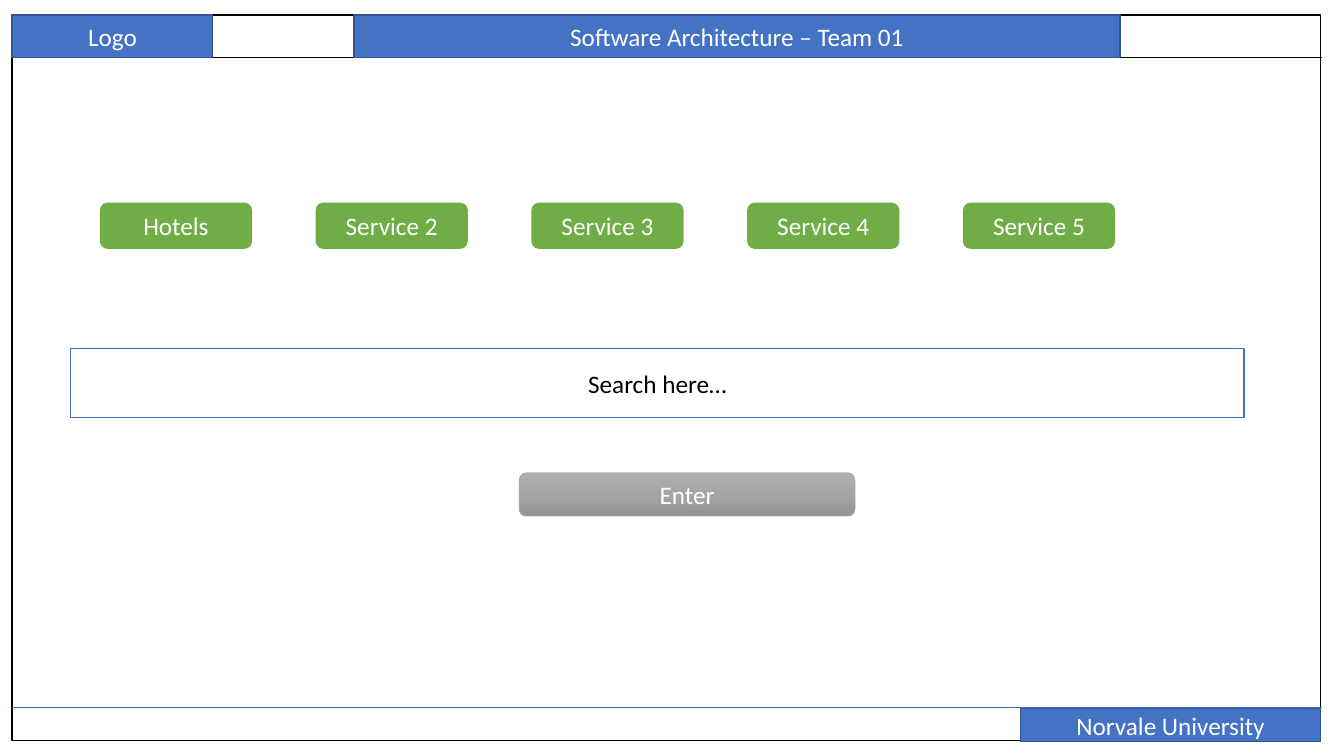
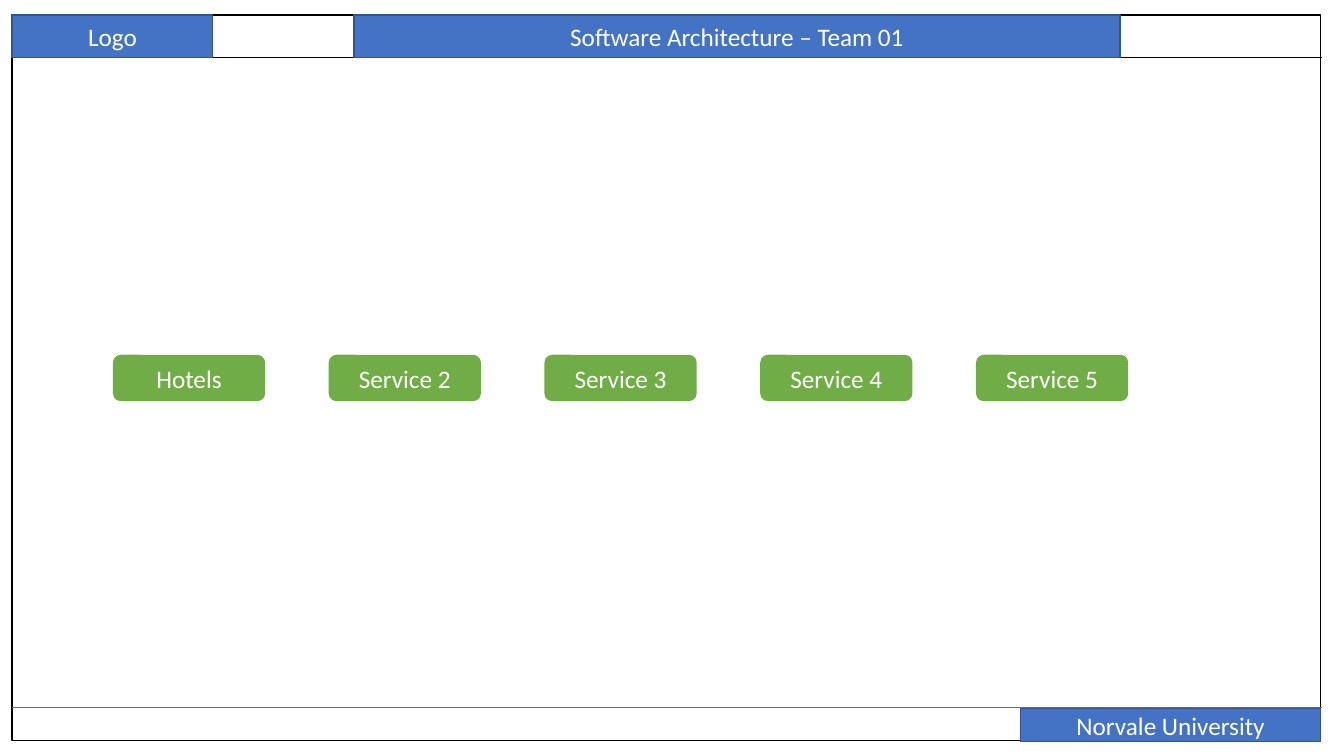
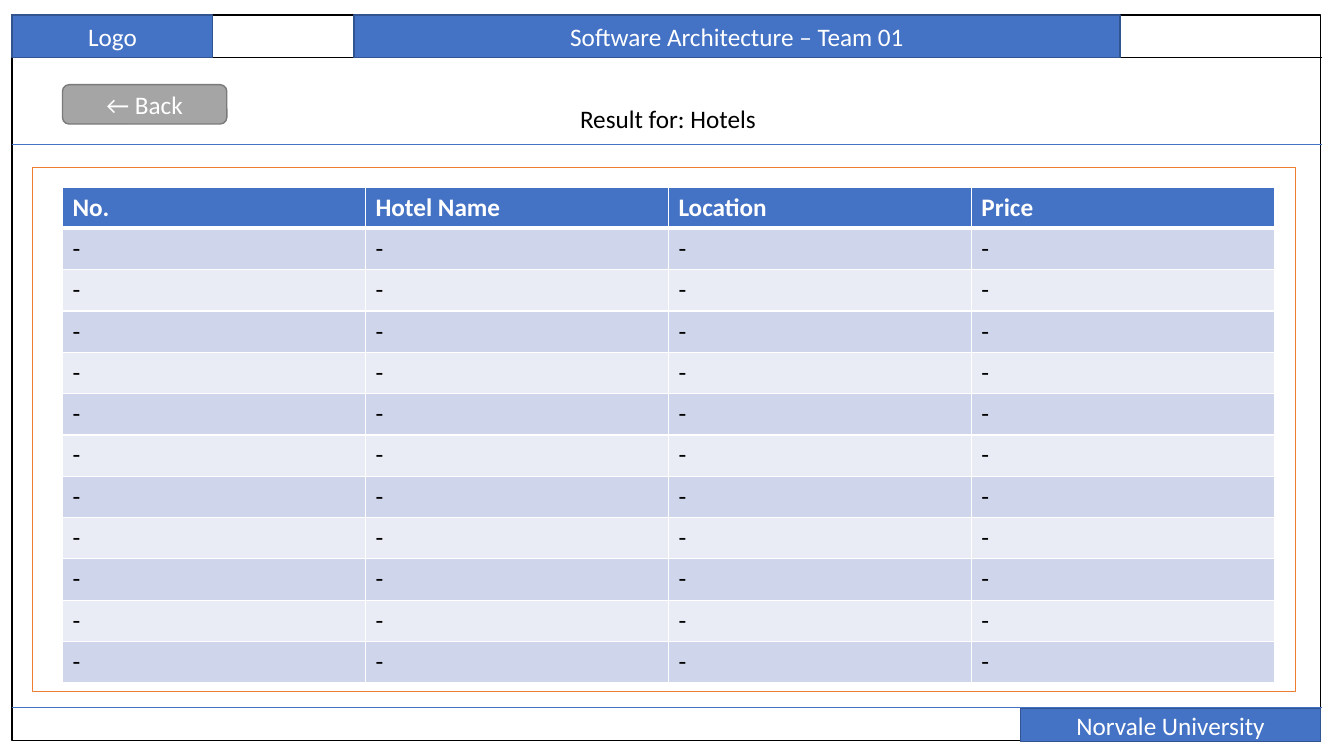
"""Build three wireframe pages of a hotel search site."""
import copy
from dataclasses import dataclass

import pptx
import pptx.dml.color
import pptx.enum.shapes
import pptx.enum.text
import pptx.oxml.ns
import pptx.oxml.xmlchemy
import pptx.util

Inches = pptx.util.Inches
Pt = pptx.util.Pt
OxmlElement = pptx.oxml.xmlchemy.OxmlElement
RECTANGLE = pptx.enum.shapes.MSO_SHAPE.RECTANGLE
ROUNDED = pptx.enum.shapes.MSO_SHAPE.ROUNDED_RECTANGLE

FONT = "Calibri"
TEXT_SIZE = 18
WHITE, BLACK = "FFFFFF", "000000"
BLUE, DARK_BLUE = "4472C4", "325491"
GREEN, ORANGE = "70AD47", "ED7D31"
GRAY, DARK_GRAY = "A5A5A5", "7A7A7A"
BANDS = ("CFD5EA", "E9EBF5")
ENTER_GRADIENT = ((0, "AFAFAF"), (0.5, GRAY), (1, "939393"))
FRAME_LEFT, FRAME_RIGHT = 0.12, 13.11
SERVICES = ("Hotels", "Service 2", "Service 3", "Service 4", "Service 5")
SERVICE_STEP = 2.14
HEADINGS = ("No.", "Hotel Name", "Location", "Price")
RESULT_COUNT = 11


@dataclass(frozen=True)
class Box:
    """A filled rectangle with an optional label and outline."""

    left: float
    top: float
    width: float
    height: float
    label: str = ""
    fill: str = BLUE
    line: str | None = DARK_BLUE
    line_width: float = 1
    ink: str = WHITE
    preset: pptx.enum.shapes.MSO_SHAPE = RECTANGLE


@dataclass(frozen=True)
class Rule:
    """A horizontal line across the frame."""

    top: float
    color: str


FRAME = Box(FRAME_LEFT, 0.15, 12.98, 7.2, fill=WHITE, line=BLACK)
LOGO = Box(FRAME_LEFT, 0.15, 1.99, 0.42, "Logo")
TITLE = Box(3.51, 0.15, 7.6, 0.42, "Software Architecture – Team 01")
FOOTER = Box(10.12, 7.03, 2.98, 0.33, "Norvale University")
HEADER_RULE = Rule(0.57, BLACK)
FOOTER_RULE = Rule(7.02, BLUE)
RESULT_RULE = Rule(1.43, BLUE)
SEARCH = Box(0.7, 3.46, 11.64, 0.68, "Search here…", WHITE, BLUE, ink=BLACK)
ENTER = Box(5.15, 4.69, 3.33, 0.43, "Enter", GRAY, GRAY, 0.5, preset=ROUNDED)
RESULT = Box(0.25, 0.98, 12.75, 0.39, "Result for: Hotels", WHITE, None, ink=BLACK, preset=ROUNDED)
RESULT_PANEL = Box(0.32, 1.66, 12.53, 5.2, fill=WHITE, line=ORANGE)
BACK = Box(0.62, 0.84, 1.63, 0.39, "← Back", GRAY, DARK_GRAY, preset=ROUNDED)


def rgb(color: str) -> pptx.dml.color.RGBColor:
    """Turn a hex string into a colour."""
    return pptx.dml.color.RGBColor.from_string(color)


def style_font(para, color: str, bold: bool = False) -> None:
    """Give a paragraph the shared font."""
    para.font.name = FONT
    para.font.size = Pt(TEXT_SIZE)
    para.font.bold = bold
    para.font.color.rgb = rgb(color)


def style_box(shape, box: Box) -> None:
    """Apply the fill, outline and label of a box."""
    shape.fill.solid()
    shape.fill.fore_color.rgb = rgb(box.fill)
    if box.line:
        shape.line.color.rgb = rgb(box.line)
        shape.line.width = Pt(box.line_width)
    else:
        shape.line.fill.background()
    if box.label:
        frame = shape.text_frame
        frame.text = box.label
        frame.word_wrap = True
        frame.auto_size = pptx.enum.text.MSO_AUTO_SIZE.NONE
        frame.vertical_anchor = pptx.enum.text.MSO_ANCHOR.MIDDLE
        para = frame.paragraphs[0]
        para.alignment = pptx.enum.text.PP_ALIGN.CENTER
        style_font(para, box.ink)


def add_box(page, box: Box):
    """Draw a box and return its shape."""
    shape = page.shapes.add_shape(
        box.preset, Inches(box.left), Inches(box.top), Inches(box.width), Inches(box.height)
    )
    shape.shadow.inherit = False
    style_box(shape, box)
    return shape


def add_rule(page, rule: Rule) -> None:
    """Draw a line from one side of the frame to the other."""
    connector = page.shapes.add_connector(
        pptx.enum.shapes.MSO_CONNECTOR.STRAIGHT,
        Inches(FRAME_LEFT), Inches(rule.top), Inches(FRAME_RIGHT), Inches(rule.top),
    )
    connector.line.color.rgb = rgb(rule.color)
    connector.line.width = Pt(0.5)
    connector._element.spPr.append(OxmlElement("a:effectLst"))


def place_title(page) -> None:
    """Turn the title placeholder into the banner in front of the frame."""
    title = page.shapes.title
    title.left, title.top = Inches(TITLE.left), Inches(TITLE.top)
    title.width, title.height = Inches(TITLE.width), Inches(TITLE.height)
    style_box(title, TITLE)
    page.shapes._spTree.append(title._element)


def add_page(deck):
    """Add a page with the shared frame, header and footer."""
    page = deck.slides.add_slide(deck.slide_layouts[5])
    add_box(page, FRAME)
    add_rule(page, HEADER_RULE)
    add_box(page, LOGO)
    place_title(page)
    add_rule(page, FOOTER_RULE)
    add_box(page, FOOTER)
    return page


def add_services(page, left: float, top: float) -> None:
    """Draw the row of service buttons."""
    for index, name in enumerate(SERVICES):
        button_left = left + index * SERVICE_STEP
        add_box(page, Box(button_left, top, 1.51, 0.46, name, GREEN, None, preset=ROUNDED))


def shade(shape, stops: tuple[tuple[float, str], ...]) -> None:
    """Fill a shape with a three-stop gradient from top to bottom."""
    shape.fill.gradient()
    shape.fill.gradient_angle = 270
    stop_list = shape._element.spPr.find(".//" + pptx.oxml.ns.qn("a:gsLst"))
    stop_list.insert(1, copy.deepcopy(stop_list[0]))
    for stop, (position, color) in zip(shape.fill.gradient_stops, stops):
        stop.position = position
        stop.color.rgb = rgb(color)


def add_borders(cell, top: float, bottom: float) -> None:
    """Draw white borders round a cell."""
    properties = cell._tc.get_or_add_tcPr()
    for side, width in (("L", 1), ("R", 1), ("T", top), ("B", bottom)):
        border = OxmlElement(f"a:ln{side}")
        border.set("w", str(int(Pt(width))))
        solid = OxmlElement("a:solidFill")
        color = OxmlElement("a:srgbClr")
        color.set("val", WHITE)
        solid.append(color)
        border.append(solid)
        properties.append(border)


def add_results(page) -> None:
    """Draw the table of hotels."""
    rows = [HEADINGS] + [("-",) * len(HEADINGS)] * RESULT_COUNT
    table = page.shapes.add_table(
        len(rows), len(HEADINGS), Inches(0.62), Inches(1.86), Inches(12.02), Inches(4.86)
    ).table
    for row_index, texts in enumerate(rows):
        is_heading = row_index == 0
        table.rows[row_index].height = Inches(0.34 if is_heading else 0.41)
        for column_index, text in enumerate(texts):
            cell = table.cell(row_index, column_index)
            add_borders(cell, 3 if row_index == 1 else 1, 3 if is_heading else 1)
            cell.fill.solid()
            cell.fill.fore_color.rgb = rgb(BLUE if is_heading else BANDS[(row_index - 1) % 2])
            cell.text = text
            style_font(cell.text_frame.paragraphs[0], WHITE if is_heading else BLACK, is_heading)


def build_search(deck) -> None:
    """Build the search page."""
    page = add_page(deck)
    add_box(page, SEARCH)
    add_services(page, 0.99, 2.01)
    shade(add_box(page, ENTER), ENTER_GRADIENT)


def build_services(deck) -> None:
    """Build the page of services."""
    add_services(add_page(deck), 1.12, 3.52)


def build_results(deck) -> None:
    """Build the page of results."""
    page = add_page(deck)
    add_rule(page, RESULT_RULE)
    add_box(page, RESULT)
    add_box(page, RESULT_PANEL)
    add_results(page)
    add_box(page, BACK)


def main() -> None:
    """Build and save the deck."""
    deck = pptx.Presentation()
    deck.slide_width, deck.slide_height = Inches(13.33), Inches(7.5)
    build_search(deck)
    build_services(deck)
    build_results(deck)
    deck.save("out.pptx")


if __name__ == "__main__":
    main()
